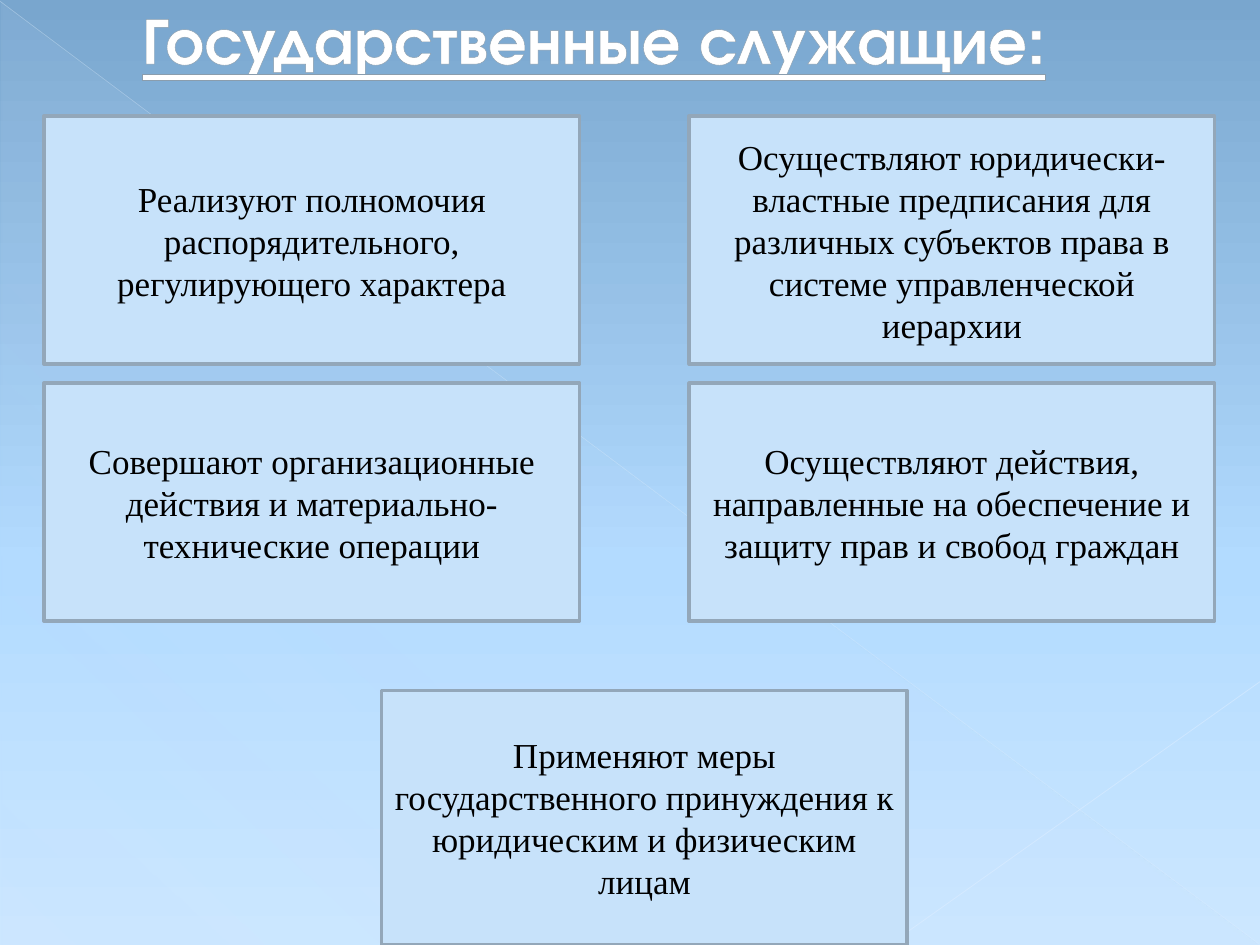
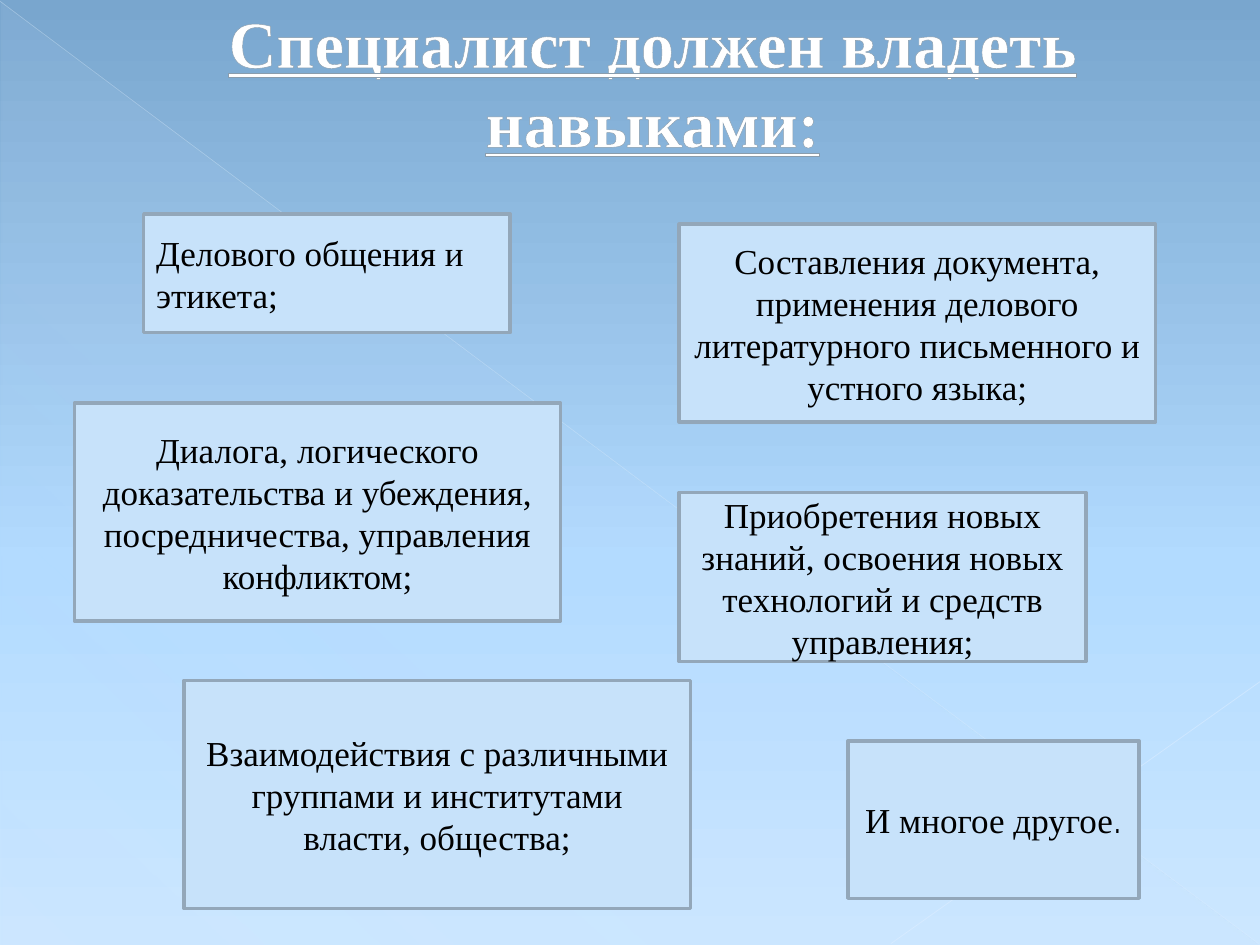
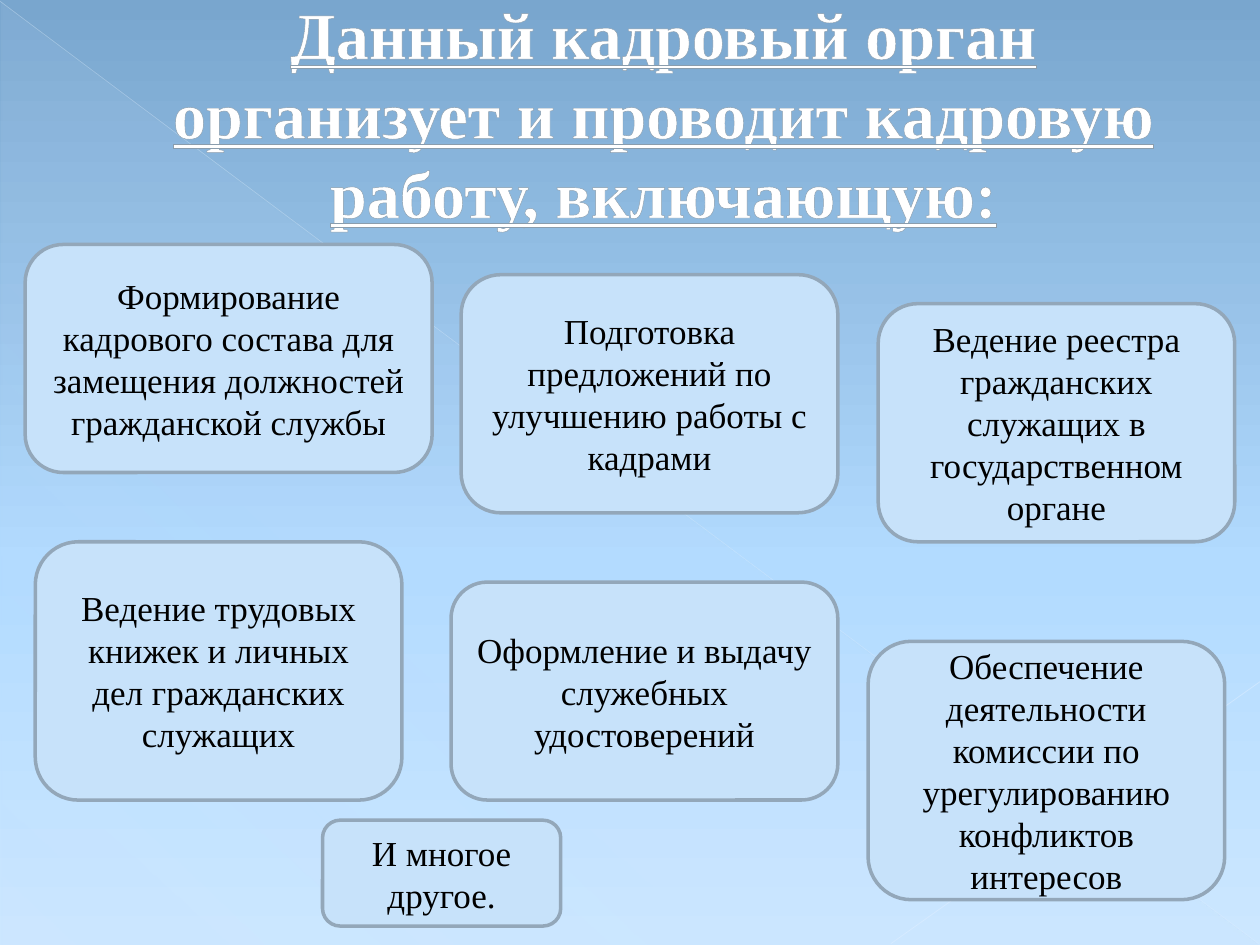
from dataclasses import dataclass
from typing import Optional

import lxml.etree
import pptx
import pptx.dml.color
import pptx.enum.shapes
import pptx.enum.text
import pptx.oxml
import pptx.oxml.ns
import pptx.util

Inches = pptx.util.Inches
Pt = pptx.util.Pt
ALIGN = pptx.enum.text.PP_ALIGN
SHAPE = pptx.enum.shapes.MSO_SHAPE
qn = pptx.oxml.ns.qn

# Shared look
SERIF = "Times New Roman"
SANS = "TeX Gyre Adventor"
PANEL = "C7E2FA"
BORDER = "93A7B9"
TITLE_OUTLINE = "8A9DAD"
WHITE = "FFFFFF"
BLACK = "000000"
TITLE_SIZE = 37.8
TITLE_INDENT = 0.53
SPARE_LINE = 0.63  # room kept free under a title


@dataclass
class Title:
    text: str
    left: float
    top: float
    width: float
    height: float
    font: str = SERIF
    align: Optional[int] = ALIGN.CENTER
    room_below: float = 0


@dataclass
class Box:
    left: float
    top: float
    width: float
    height: float
    text: str
    align: int = ALIGN.CENTER
    tail: str = ""  # closing mark set in the sans font


@dataclass
class Page:
    title: Title
    boxes: list[Box]
    shape: int = SHAPE.RECTANGLE


@dataclass
class Ray:
    x1: float
    y1: float
    x2: float
    y2: float
    color: str
    width: float
    opacity: int


@dataclass
class Stop:
    position: int
    color: str
    opacity: int = 100


BACKDROP = [Stop(0, "79A6CE"), Stop(60, "B2DBFF"), Stop(100, "CCE7FF")]
SHEEN = [Stop(0, PANEL, 10), Stop(70, PANEL, 8), Stop(100, PANEL, 1)]
RAYS = [
    Ray(0, 0.01, 9.99, 7.49, "E0F0FF", 0.39, 35),
    Ray(10, 5.41, 7.07, 7.49, "E3F1FF", 0.47, 45),
]

# Slide 1 grid
COL_1, COL_2, ROW_1, ROW_2 = 0.35, 5.47, 0.92, 3.04
WIDE, NARROW = 4.25, 4.17

PAGES = [
    Page(
        Title("Государственные служащие:", 0.5, 0, 9, 1.23, SANS, ALIGN.LEFT, SPARE_LINE),
        [
            Box(COL_1, ROW_1, WIDE, 1.97,
                "Реализуют полномочия распорядительного, регулирующего характера"),
            Box(COL_2, ROW_1, NARROW, 1.97,
                "Осуществляют юридически-властные предписания для различных "
                "субъектов права в системе управленческой иерархии"),
            Box(3.03, 5.48, NARROW, 2.02,
                "Применяют меры государственного принуждения к юридическим "
                "и физическим лицам"),
            Box(COL_1, ROW_2, WIDE, 1.89,
                "Совершают организационные действия и материально-технические операции"),
            Box(COL_2, ROW_2, NARROW, 1.89,
                "Осуществляют действия, направленные на обеспечение и защиту "
                "прав и свобод граждан"),
        ],
    ),
    Page(
        Title("Специалист должен владеть навыками:", 0.5, 0.21, 8.83, 1.5,
              room_below=SPARE_LINE),
        [
            Box(1.14, 1.7, 2.91, 0.94, "Делового общения и этикета;", ALIGN.LEFT),
            Box(5.39, 1.78, 3.78, 1.57,
                "Составления документа, применения делового литературного "
                "письменного и устного языка;"),
            Box(0.59, 3.2, 3.86, 1.73,
                "Диалога, логического доказательства и убеждения, "
                "посредничества, управления конфликтом;"),
            Box(5.39, 3.91, 3.23, 1.34,
                "Приобретения новых знаний, освоения новых технологий и "
                "средств управления;"),
            Box(1.46, 5.4, 4.02, 1.81,
                "Взаимодействия с различными группами и институтами власти, общества;"),
            Box(6.73, 5.88, 2.31, 1.25, "И многое другое", tail="."),
        ],
    ),
    Page(
        Title("Данный кадровый орган организует и проводит кадровую работу, включающую:",
              0.5, 0, 9, 1.78),
        [
            Box(0.2, 1.94, 3.23, 1.81,
                "Формирование кадрового состава для замещения должностей "
                "гражданской службы"),
            Box(3.66, 2.18, 2.99, 1.89,
                "Подготовка предложений по улучшению работы с кадрами"),
            Box(0.28, 4.3, 2.91, 2.05,
                "Ведение трудовых книжек и личных дел гражданских служащих"),
            Box(6.97, 2.41, 2.83, 1.89,
                "Ведение реестра гражданских служащих в государственном органе"),
            Box(3.58, 4.62, 3.07, 1.73, "Оформление и выдачу служебных удостоверений"),
            Box(6.89, 5.09, 2.83, 2.05,
                "Обеспечение деятельности комиссии по урегулированию "
                "конфликтов интересов"),
            Box(2.56, 6.51, 1.89, 0.84, "И многое другое."),
        ],
        SHAPE.ROUNDED_RECTANGLE,
    ),
]


def rgb(color: str) -> pptx.dml.color.RGBColor:
    return pptx.dml.color.RGBColor.from_string(color)


def add_alpha(clr, opacity: int) -> None:
    lxml.etree.SubElement(clr, qn("a:alpha"), val=str(opacity * 1000))


def set_gradient(fill, parent, stops: list[Stop], angle: int) -> None:
    """Swap the fill inside parent for a linear gradient."""
    fill.solid()
    solid = parent.find(qn("a:solidFill"))
    grad = pptx.oxml.parse_xml(
        f'<a:gradFill {pptx.oxml.ns.nsdecls("a")} rotWithShape="1"><a:gsLst/>'
        f'<a:lin ang="{angle * 60000}" scaled="0"/></a:gradFill>')
    for stop in stops:
        gs = lxml.etree.SubElement(grad[0], qn("a:gs"), pos=str(stop.position * 1000))
        clr = lxml.etree.SubElement(gs, qn("a:srgbClr"), val=stop.color)
        if stop.opacity < 100:
            add_alpha(clr, stop.opacity)
    parent.replace(solid, grad)


def format_run(r, font: str, size: float, color: str) -> None:
    r.font.name = font
    r.font.size = Pt(size)
    r.font.color.rgb = rgb(color)


def add_backdrop(slide) -> None:
    """Faint triangle and two light rays behind the content."""
    sp = slide.shapes.add_shape(SHAPE.RIGHT_TRIANGLE, Inches(0.01), Inches(0.02),
                                Inches(9.98), Inches(7.48))
    sp.shadow.inherit = False
    sp.line.fill.background()
    set_gradient(sp.fill, sp._element.spPr, SHEEN, 133)
    for ray in RAYS:
        cxn = slide.shapes.add_connector(
            pptx.enum.shapes.MSO_CONNECTOR.STRAIGHT,
            Inches(ray.x1), Inches(ray.y1), Inches(ray.x2), Inches(ray.y2))
        cxn.line.color.rgb = rgb(ray.color)
        cxn.line.width = Pt(ray.width)
        spPr = cxn._element.spPr
        add_alpha(spPr.find(".//" + qn("a:srgbClr")), ray.opacity)
        lxml.etree.SubElement(spPr, qn("a:effectLst"))


def add_title(slide, title: Title) -> None:
    sp = slide.shapes.add_textbox(Inches(title.left), Inches(title.top),
                                  Inches(title.width), Inches(title.height))
    tf = sp.text_frame
    tf.word_wrap = True
    tf.vertical_anchor = pptx.enum.text.MSO_ANCHOR.MIDDLE
    tf.margin_bottom = Inches(0.05 + title.room_below)
    tf.text = title.text
    p = tf.paragraphs[0]
    p.alignment = title.align
    pPr = p._p.get_or_add_pPr()
    pPr.set("marL", str(Inches(TITLE_INDENT)))
    pPr.set("indent", "0")
    r = p.runs[0]
    format_run(r, title.font, TITLE_SIZE, WHITE)
    r.font.bold = True
    r.font.underline = True
    # Thin outline around the letters
    r._r.get_or_add_rPr().insert(0, pptx.oxml.parse_xml(
        f'<a:ln {pptx.oxml.ns.nsdecls("a")} w="{Pt(0.5)}"><a:solidFill>'
        f'<a:srgbClr val="{TITLE_OUTLINE}"/></a:solidFill></a:ln>'))


def add_box(slide, box: Box, shape: int) -> None:
    sp = slide.shapes.add_shape(shape, Inches(box.left), Inches(box.top),
                                Inches(box.width), Inches(box.height))
    sp.shadow.inherit = False
    sp.fill.solid()
    sp.fill.fore_color.rgb = rgb(PANEL)
    sp.line.color.rgb = rgb(BORDER)
    sp.line.width = Pt(2)
    tf = sp.text_frame
    tf.word_wrap = True
    tf.vertical_anchor = pptx.enum.text.MSO_ANCHOR.MIDDLE
    tf.text = box.text
    p = tf.paragraphs[0]
    p.alignment = box.align
    format_run(p.runs[0], SERIF, 20, BLACK)
    if box.tail:
        r = p.add_run()
        r.text = box.tail
        format_run(r, SANS, 18, BLACK)


def main() -> None:
    prs = pptx.Presentation()
    prs.slide_width = Inches(10)
    prs.slide_height = Inches(7.5)
    fill = prs.slide_master.background.fill
    fill.solid()
    bgPr = prs.slide_master._element.find(".//" + qn("p:bgPr"))
    set_gradient(fill, bgPr, BACKDROP, 90)
    for page in PAGES:
        slide = prs.slides.add_slide(prs.slide_layouts[6])
        add_backdrop(slide)
        add_title(slide, page.title)
        for box in page.boxes:
            add_box(slide, box, page.shape)
    prs.save("out.pptx")


if __name__ == "__main__":
    main()
